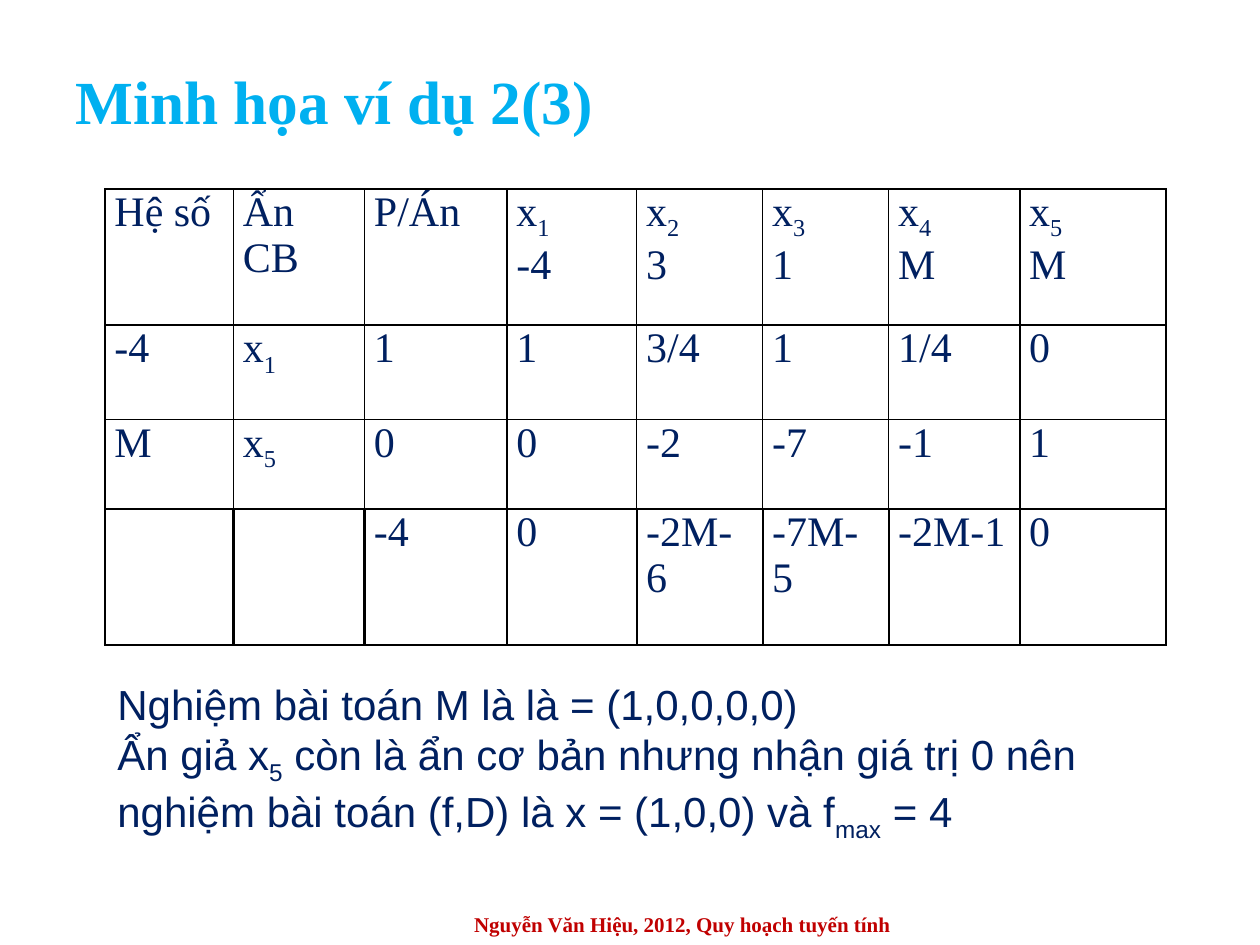
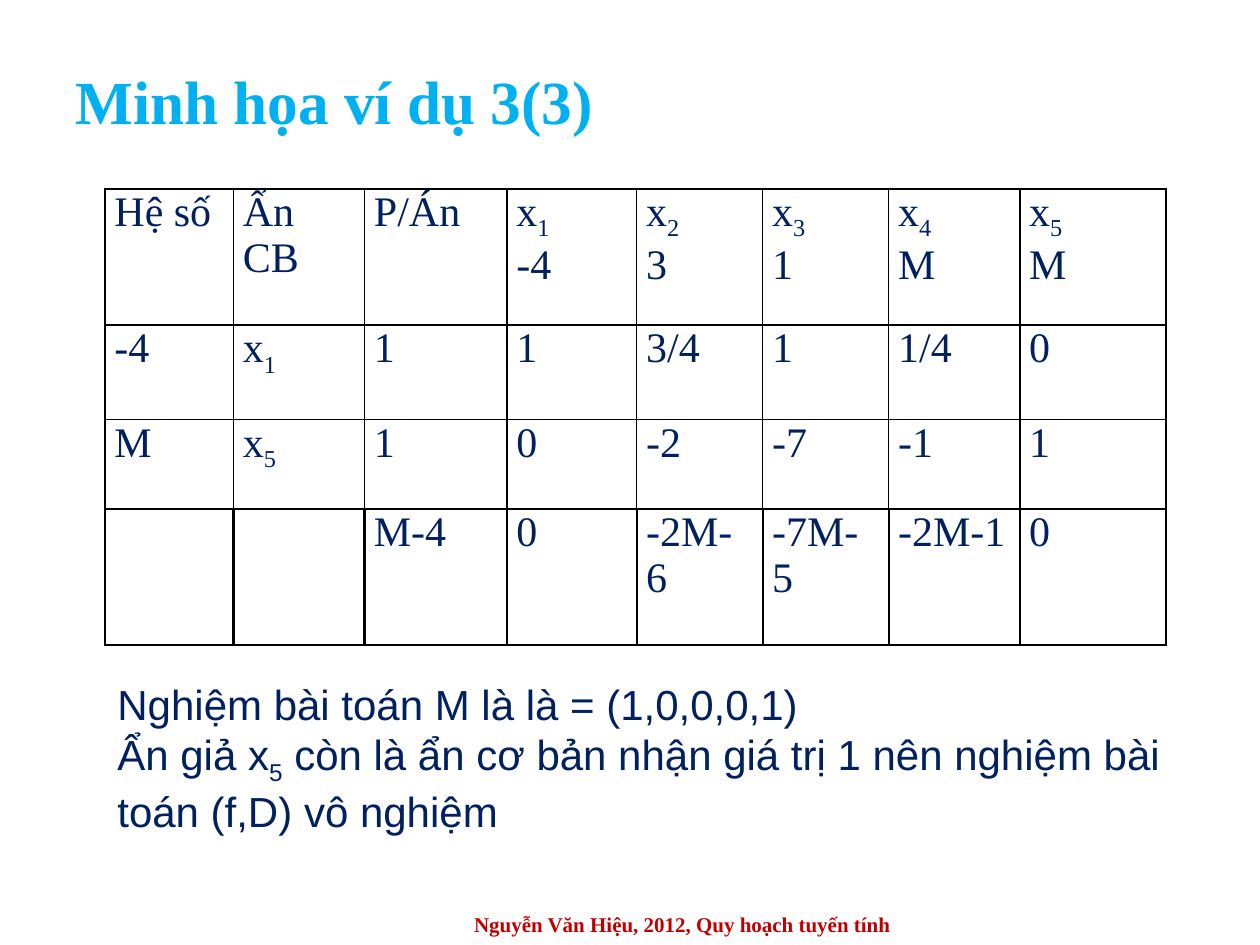
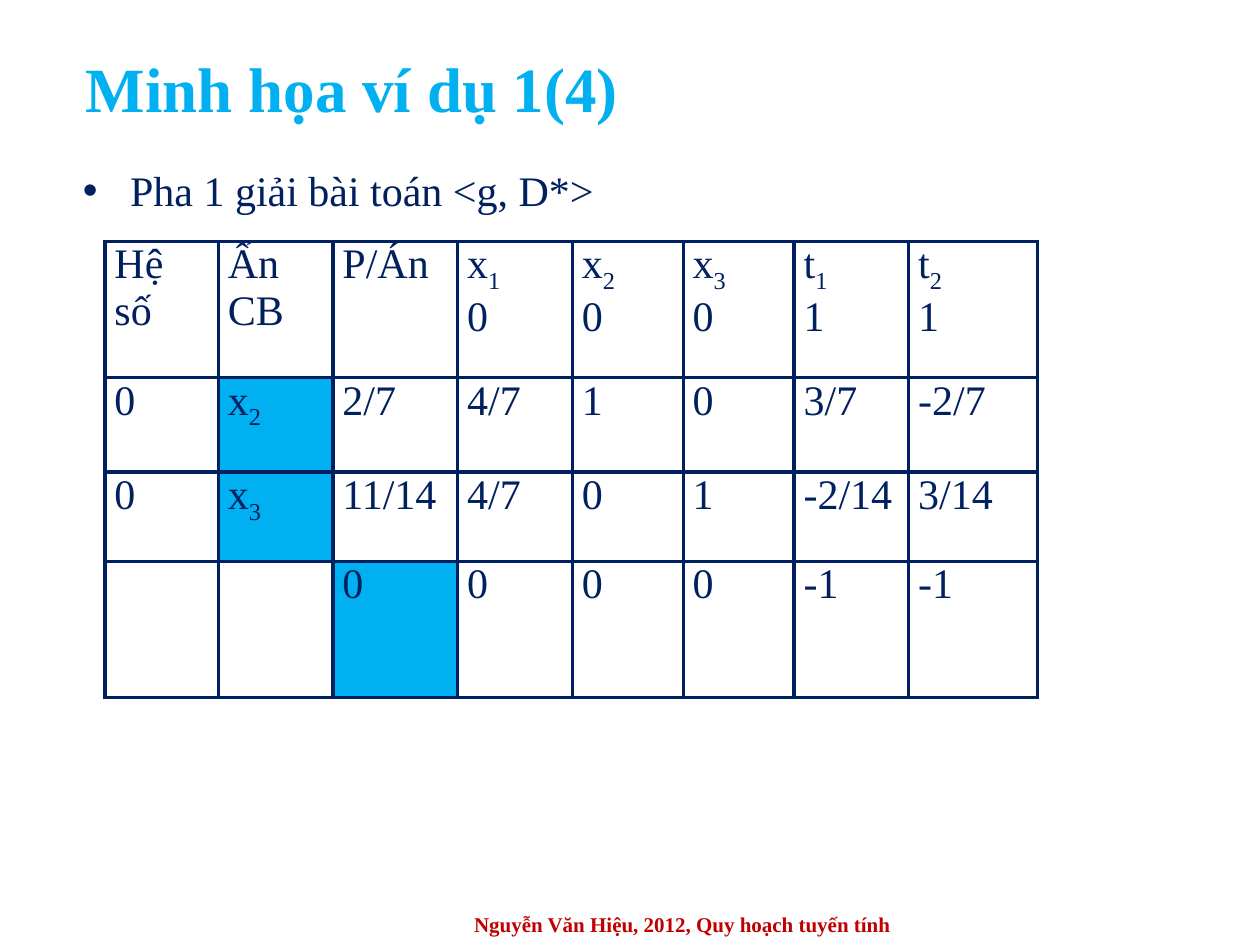
from lxml import etree
from pptx import Presentation
from pptx.dml.color import RGBColor
from pptx.enum import text
from pptx.oxml import ns
from pptx.util import Pt

NAVY, SKY, RED, BLACK = "002060", "00B0F0", "C00000", "000000"
SERIF, SANS = "Times New Roman", "Arial"
LEFT = text.PP_ALIGN.LEFT
MID, TOP = text.MSO_ANCHOR.MIDDLE, text.MSO_ANCHOR.TOP

ROWS = [77.8, 54, 51.1, 77.8]
WIDE = [73.4, 74.9, 81.4, 74.2, 72, 72, 74.9, 83.5]
SLIM = [64.8, 65.5, 71.3, 65.5, 63.4, 63.4, 65.5, 73.4]
HEAD = ["Hệ số", "Ẩn CB", "P/Án"]
BIG_M = HEAD + ["x_1_\n-4", "x_2_\n3", "x_3_\n1", "x_4_\nM", "x_5_\nM"]
PHASE = [
    HEAD + ["x_1_\n0", "x_2_\n0", "x_3_\n0", "t_1_\n1", "t_2_\n1"],
    ["0", "x_2_", "2/7", "4/7", "1", "0", "3/7", "-2/7"],
    ["0", "x_3_", "11/14", "4/7", "0", "1", "-2/14", "3/14"],
    ["", "", "0", "0", "0", "0", "-1", "-1"],
]
MARKED = {(1, 1), (2, 1), (3, 2)}


def hue(code):
    """Turn a hex string into a colour."""
    return RGBColor.from_string(code)


def sub(parent, tag, **attrs):
    """Append a DrawingML child element."""
    return etree.SubElement(parent, ns.qn("a:" + tag), attrs)


def write(frame, words, size=24, color=NAVY, font=SERIF, bold=False, align=LEFT):
    """Write one paragraph per line, with subscripts between underscores."""
    for n, line in enumerate(words.split("\n")):
        para = frame.add_paragraph() if n else frame.paragraphs[0]
        para.alignment = align
        for i, part in enumerate(line.split("_")):
            if not part:
                continue
            run = para.add_run()
            run.text = part
            run.font.size = Pt(size)
            run.font.name = font
            run.font.bold = bold
            run.font.color.rgb = hue(color)
            if i % 2:
                run._r.get_or_add_rPr().set("baseline", "-25000")


def box(slide, place, words, anchor=TOP, inset=3.6, **style):
    """Add a wrapped text box and return its frame."""
    frame = slide.shapes.add_textbox(*map(Pt, place)).text_frame
    frame.word_wrap = True
    frame.vertical_anchor = anchor
    frame.margin_top = frame.margin_bottom = Pt(inset)
    write(frame, words, **style)
    return frame


def title(slide, words):
    """Add the large title."""
    box(slide, (36, 30, 648, 54), words, MID, size=35, color=SKY, bold=True)


def footer(slide):
    """Add the author line at the foot."""
    box(slide, (210, 516, 360, 24), "Nguyễn Văn Hiệu, 2012, Quy hoạch tuyến tính",
        MID, size=12, color=RED, bold=True, align=text.PP_ALIGN.CENTER)


def bullet(para):
    """Give a paragraph a round bullet and a hanging indent."""
    props = para._p.get_or_add_pPr()
    props.set("marL", str(Pt(27)))
    props.set("indent", str(Pt(-27)))
    sub(sub(props, "buClr"), "srgbClr", val=NAVY)
    sub(props, "buFont", typeface=SANS)
    sub(props, "buChar", char="•")


def border(cell, color, sides):
    """Draw the four cell borders, given as side and width."""
    props = cell._tc.get_or_add_tcPr()
    for side in "LRTB":
        line = sub(props, "ln" + side, w=str(Pt(sides[side])))
        sub(sub(line, "solidFill"), "srgbClr", val=color)


def grid(slide, top, cols, data, color, width, last, marks=()):
    """Add a simplex table whose last row has its own border width."""
    place = map(Pt, (60, top, sum(cols), sum(ROWS)))
    table = slide.shapes.add_table(len(ROWS), len(cols), *place).table
    table.first_row = table.horz_banding = False
    for col, size in zip(table.columns, cols):
        col.width = Pt(size)
    for r, (row, high) in enumerate(zip(data, ROWS)):
        table.rows[r].height = Pt(high)
        for c, words in enumerate(row):
            cell = table.cell(r, c)
            cell.margin_left = cell.margin_right = Pt(5.4)
            cell.margin_top = cell.margin_bottom = 0
            write(cell.text_frame, words, align=text.PP_ALIGN.JUSTIFY)
            sides = dict.fromkeys("LRT", last if r == 3 else width)
            sides["B"] = last if r >= 2 else width
            border(cell, color, sides)
            if (r, c) in marks:
                cell.fill.solid()
                cell.fill.fore_color.rgb = hue(SKY)
            else:
                cell.fill.background()


def solve(slide, name, plan, total, note):
    """Fill a slide on the big M method."""
    title(slide, name)
    footer(slide)
    data = [
        BIG_M,
        ["-4", "x_1_", "1", "1", "3/4", "1", "1/4", "0"],
        ["M", "x_5_", plan, "0", "-2", "-7", "-1", "1"],
        ["", "", total, "0", "-2M-6", "-7M-5", "-2M-1", "0"],
    ]
    grid(slide, 108, WIDE, data, BLACK, 1, 1.5)
    box(slide, (60, 384, 612, 116.6), note, font=SANS)


def phase(slide):
    """Fill the slide on the first phase."""
    footer(slide)
    grid(slide, 138, SLIM, PHASE, NAVY, 2.25, 2.25, MARKED)
    box(slide, (42, 21, 515.5, 58), "Minh họa ví dụ 1(4)", inset=7.2,
        size=36, color=SKY, bold=True)
    frame = box(slide, (40.3, 87, 606, 44), "Pha 1 giải bài toán <g, D*>", inset=7.2)
    bullet(frame.paragraphs[0])


def main():
    """Build and save the three slides."""
    deck = Presentation()
    deck.slide_width, deck.slide_height = Pt(720), Pt(540)
    one, two, three = (deck.slides.add_slide(deck.slide_layouts[6]) for _ in range(3))
    solve(one, "Minh họa ví dụ 2(3)", "0", "-4",
          "Nghiệm bài toán M là là = (1,0,0,0,0)\n"
          "Ẩn giả x_5_ còn là ẩn cơ bản nhưng nhận giá trị 0 nên "
          "nghiệm bài toán (f,D) là x = (1,0,0) và f_max_ = 4")
    solve(two, "Minh họa ví dụ 3(3)", "1", "M-4",
          "Nghiệm bài toán M là là = (1,0,0,0,1)\n"
          "Ẩn giả x_5_ còn là ẩn cơ bản nhận giá trị 1 nên "
          "nghiệm bài toán (f,D) vô nghiệm")
    phase(three)
    deck.save("out.pptx")


if __name__ == "__main__":
    main()
